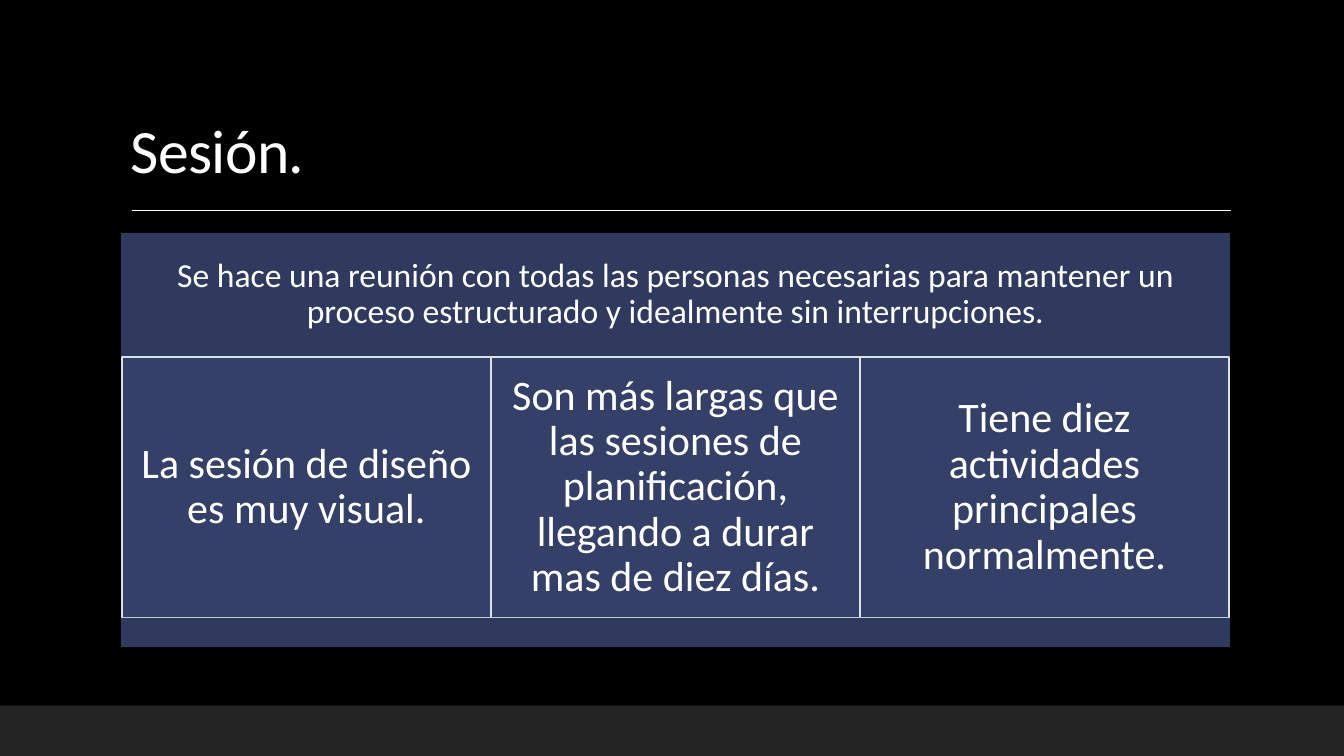
from lxml import etree
from pptx import Presentation
from pptx.dml.color import RGBColor
from pptx.enum.shapes import MSO_CONNECTOR, MSO_SHAPE
from pptx.enum.text import MSO_ANCHOR, PP_ALIGN
from pptx.oxml.ns import qn
from pptx.util import Inches, Pt

# Content
TITLE = "Sesión."
SUMMARY = ("Se hace una reunión con todas las personas necesarias para mantener "
           "un proceso estructurado y idealmente sin interrupciones.")
FEATURES = [
    "La sesión de diseño es muy visual.",
    "Son más largas que las sesiones de planificación, llegando a durar mas de diez días.",
    "Tiene diez actividades principales normalmente.",
]

# Style and layout, in inches
FONT = "Calibri"
BLACK, WHITE, FOOTER_GREY = "000000", "FFFFFF", "262626"
BAND_BLUE, FEATURE_BLUE, FEATURE_EDGE = "2F3A5E", "344068", "D9E0E6"
SLIDE_W, SLIDE_H = 13.33, 7.5
LEFT, WIDTH = 1.2, 11
BAND_TOP, BAND_H = 2.31, 1.23
FEATURE_TOP, FEATURE_W, FEATURE_H = BAND_TOP + BAND_H, 3.66, 2.59
BASE_TOP, BASE_H = FEATURE_TOP + FEATURE_H, 0.29
FOOTER_H = 0.5


def color(hex_code):
    return RGBColor.from_string(hex_code)


def add_block(left, top, width, height, fill, edge=None):
    block = slide.shapes.add_shape(MSO_SHAPE.RECTANGLE, Inches(left), Inches(top),
                                   Inches(width), Inches(height))
    block.shadow.inherit = False
    block.fill.solid()
    block.fill.fore_color.rgb = color(fill)
    if edge:
        block.line.color.rgb = color(edge)
        block.line.width = Pt(1.25)
    else:
        block.line.fill.background()
    return block


def write(box, text, size, inset, anchor=MSO_ANCHOR.MIDDLE, align=PP_ALIGN.CENTER):
    frame = box.text_frame
    frame.word_wrap = True
    frame.vertical_anchor = anchor
    frame.margin_left = frame.margin_right = Inches(inset)
    frame.margin_top = frame.margin_bottom = Inches(min(inset, 0.12))
    paragraph = frame.paragraphs[0]
    paragraph.alignment = align
    paragraph.line_spacing = 0.9
    run = paragraph.add_run()
    run.text = text
    run.font.name = FONT
    run.font.size = Pt(size)
    run.font.color.rgb = color(WHITE)
    return run


prs = Presentation()
prs.slide_width, prs.slide_height = Inches(SLIDE_W), Inches(SLIDE_H)
slide = prs.slides.add_slide(prs.slide_layouts[6])
slide.background.fill.solid()
slide.background.fill.fore_color.rgb = color(BLACK)

# Title and rule
title = slide.shapes.add_textbox(Inches(LEFT), Inches(0.31), Inches(WIDTH), Inches(1.59))
title_run = write(title, TITLE, 44, 0.1, MSO_ANCHOR.BOTTOM, PP_ALIGN.LEFT)
title.text_frame.margin_bottom = Inches(0.05)
title_run.font._element.set("spc", "-50")

rule = slide.shapes.add_connector(MSO_CONNECTOR.STRAIGHT, Inches(1.31), Inches(2.09),
                                  Inches(12.21), Inches(2.09))
rule.line.color.rgb = color(WHITE)
rule.line.width = Pt(1)
etree.SubElement(rule._element.spPr, qn("a:effectLst"))

# Footer bar, slightly transparent
footer = add_block(0, SLIDE_H - FOOTER_H, SLIDE_W, FOOTER_H, FOOTER_GREY)
footer_color = footer._element.spPr.find(qn("a:solidFill"))[0]
etree.SubElement(footer_color, qn("a:alpha"), val="95000")

# Summary band, features and base band
write(add_block(LEFT, BAND_TOP, WIDTH, BAND_H, BAND_BLUE), SUMMARY, 24, 0.1)
features_left = LEFT + (WIDTH - FEATURE_W * len(FEATURES)) / 2
for i, feature in enumerate(FEATURES):
    panel = add_block(features_left + i * FEATURE_W, FEATURE_TOP, FEATURE_W, FEATURE_H,
                      FEATURE_BLUE, FEATURE_EDGE)
    write(panel, feature, 30, 0.12)
add_block(LEFT, BASE_TOP, WIDTH, BASE_H, BAND_BLUE)

prs.save("out.pptx")
